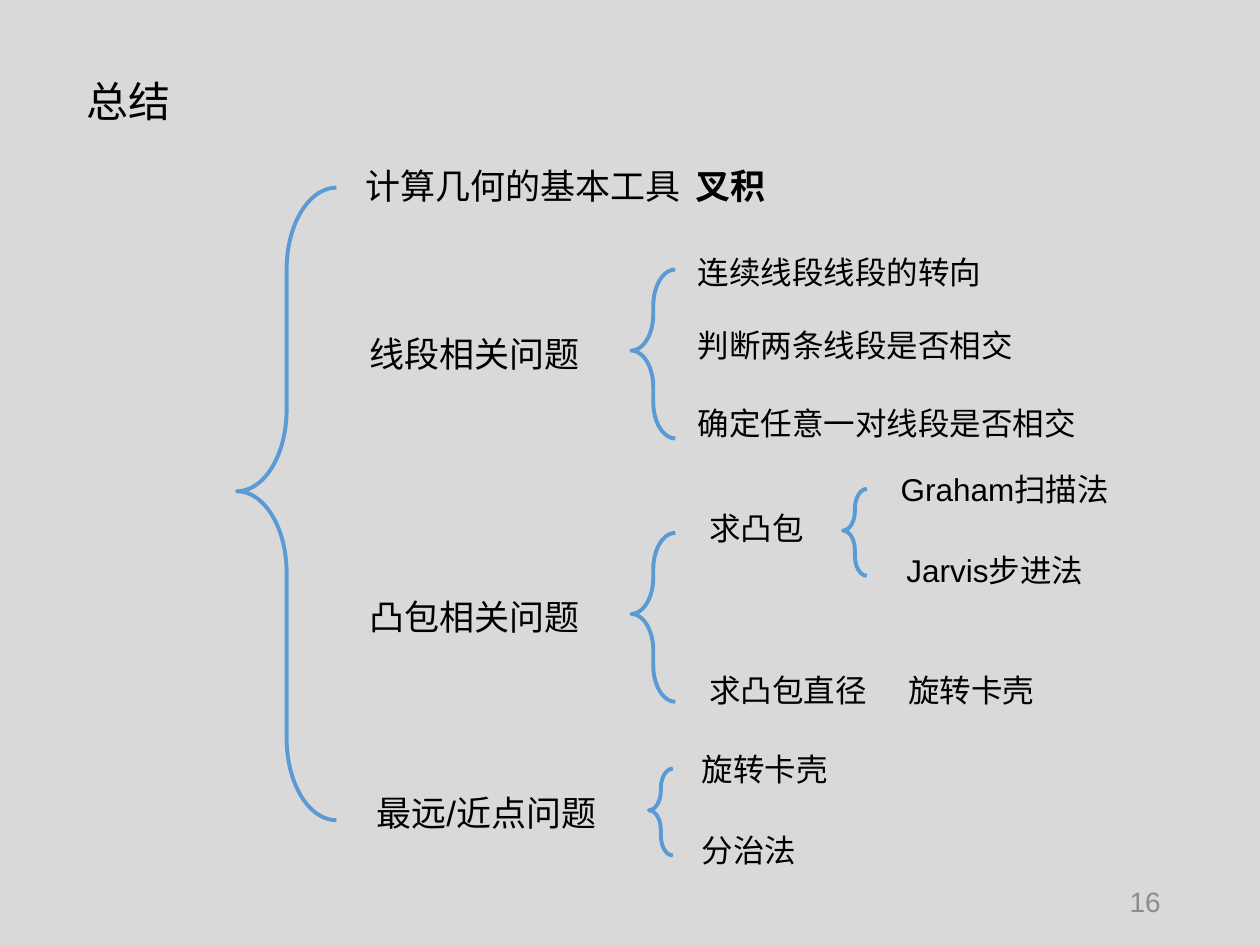
from dataclasses import dataclass

from lxml.etree import SubElement
from pptx import Presentation
from pptx.dml.color import RGBColor
from pptx.enum.shapes import MSO_SHAPE
from pptx.enum.text import MSO_ANCHOR, PP_ALIGN
from pptx.oxml.ns import qn
from pptx.util import Inches, Pt

WIDE, HIGH = Inches(10), Inches(7.5)


@dataclass(frozen=True)
class Theme:
    back: RGBColor = RGBColor(0xD9, 0xD9, 0xD9)
    ink: RGBColor = RGBColor(0, 0, 0)
    gray: RGBColor = RGBColor(0x8C, 0x8C, 0x8C)
    blue: RGBColor = RGBColor(0x5B, 0x9B, 0xD5)
    latin: str = "Arial"
    asian: str = "Noto Sans CJK SC"
    title: int = 24
    topic: int = 20
    leaf: int = 18
    number: int = 16
    stroke: float = 2.25


THEME = Theme()


def area(left, top, width, height):
    """Turn percent shares of the slide into lengths."""
    shares = zip((left, top, width, height), (WIDE, HIGH, WIDE, HIGH))
    return [int(side * share / 100) for share, side in shares]


def write(shape, *parts, size=THEME.leaf, color=THEME.ink, font=THEME.latin,
          align=PP_ALIGN.LEFT, anchor=MSO_ANCHOR.TOP, tab=None, space=None):
    """Write one paragraph; every part after the first is bold."""
    frame = shape.text_frame
    frame.word_wrap = True
    frame.vertical_anchor = anchor
    para = frame.paragraphs[0]
    para.alignment = align
    if space:
        para.line_spacing = space
    if tab:
        stops = SubElement(para._p.get_or_add_pPr(), qn("a:tabLst"))
        SubElement(stops, qn("a:tab"), pos=str(Inches(tab)), algn="l")
    for index, part in enumerate(parts):
        run = para.add_run()
        run.text = part
        run.font.size = Pt(size)
        run.font.bold = index > 0
        run.font.color.rgb = color
        run.font.name = font
        SubElement(run.font._element, qn("a:ea"), typeface=THEME.asian)


def label(slide, spot, *parts, **style):
    write(slide.shapes.add_textbox(*area(*spot)), *parts, **style)


def brace(slide, *spot):
    shape = slide.shapes.add_shape(MSO_SHAPE.LEFT_BRACE, *area(*spot))
    shape.adjustments[0] = 0.82
    shape.adjustments[1] = 0.48
    shape.shadow.inherit = False
    shape.fill.background()
    shape.line.color.rgb = THEME.blue
    shape.line.width = Pt(THEME.stroke)


def head(slide):
    title = slide.shapes.title
    title.left, title.top, title.width, title.height = area(5.9, 6.53, 16.9, 8.93)
    write(title, "总结", size=THEME.title, anchor=MSO_ANCHOR.MIDDLE, space=0.9)


def topics(slide):
    brace(slide, 18.8, 19.87, 7.9, 66.93)
    label(slide, (28, 16.8, 50.9, 5.87), "计算几何的基本工具\t", "叉积",
          size=THEME.topic, font=THEME.asian, tab=2.62)
    rows = [
        (26, 34.53, 23.3, "线段相关问题"),
        (26.8, 62.4, 21.7, "凸包相关问题"),
        (23.4, 83.07, 30.4, "最远/近点问题"),
    ]
    for left, top, width, text in rows:
        label(slide, (left, top, width, 5.87), text,
              size=THEME.topic, align=PP_ALIGN.CENTER)


def leaves(slide):
    # Large and small braces
    for top in (28.53, 56.4):
        brace(slide, 50.1, top, 3.5, 17.87)
    for left, top in ((66.9, 51.73), (51.5, 81.33)):
        brace(slide, left, top, 1.9, 9.2)

    # Items beside the braces
    rows = [
        (54.4, 26.13, "连续线段线段的转向"),
        (54.4, 33.87, "判断两条线段是否相交"),
        (54.4, 42.13, "确定任意一对线段是否相交"),
        (55.3, 53.2, "求凸包"),
        (55.3, 70.4, "求凸包直径\t旋转卡壳"),
        (54.7, 78.67, "旋转卡壳"),
        (54.7, 87.33, "分治法"),
    ]
    for left, top, text in rows:
        label(slide, (left, top, 40, 5.33), text, tab=1.58)

    # Hull methods
    for top, width, text in ((49.07, 19.1, "Graham扫描法"),
                             (57.6, 17.5, "Jarvis步进法")):
        label(slide, (70.2, top, width, 5.33), text, align=PP_ALIGN.CENTER)


def main():
    deck = Presentation()
    deck.slide_width, deck.slide_height = WIDE, HIGH
    slide = deck.slides.add_slide(deck.slide_layouts[5])
    slide.background.fill.solid()
    slide.background.fill.fore_color.rgb = THEME.back
    head(slide)
    topics(slide)
    leaves(slide)
    label(slide, (70.6, 92.67, 22.5, 5.33), "16", size=THEME.number,
          color=THEME.gray, align=PP_ALIGN.RIGHT, anchor=MSO_ANCHOR.MIDDLE)
    deck.save("out.pptx")


if __name__ == "__main__":
    main()
